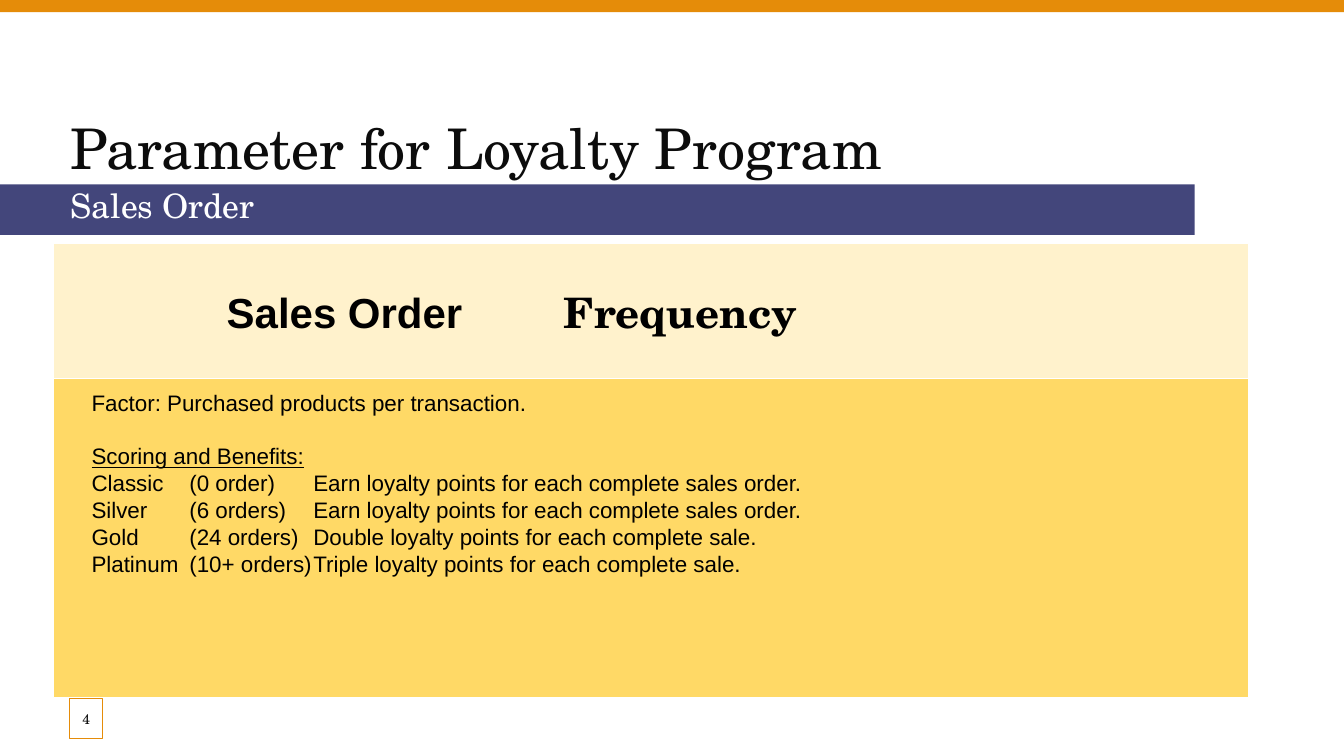
from lxml import etree
from pptx import Presentation
from pptx.dml.color import RGBColor
from pptx.enum.shapes import MSO_SHAPE
from pptx.enum.text import MSO_ANCHOR, PP_ALIGN
from pptx.oxml.ns import qn
from pptx.util import Inches, Pt

COLORS = {"orange": "E58C09", "indigo": "43467B", "cream": "FFF2CC", "gold": "FFD966",
          "white": "FFFFFF", "ink": "0C0C0C", "black": "000000"}
SERIF, SANS = "TeX Gyre Schola", "Arial"

TITLE = "Parameter for Loyalty Program"
SUBTITLE = "Sales Order"
PAGE = "4"
HEADINGS = [("Frequency", SERIF, 5.49, 3.37), ("Sales Order", SANS, 2.15, 2.92)]
FACTOR = "Factor: Purchased products per transaction."
SCORING = "Scoring and Benefits:"
TIERS = [
    ("Classic", "(0 order)", "Earn loyalty points for each complete sales order."),
    ("Silver", "(6 orders)", "Earn loyalty points for each complete sales order."),
    ("Gold", "(24 orders)", "Double loyalty points for each complete sale."),
    ("Platinum", "(10+ orders)", "Triple loyalty points for each complete sale."),
]
TIER_TABS = (0.97, 2.2)
PANEL_X, PANEL_W = 0.53, 11.85


def rgb(name):
    return RGBColor.from_string(COLORS[name])


def add_rect(s, box, fill, line=None):
    sp = s.shapes.add_shape(MSO_SHAPE.RECTANGLE, *map(Inches, box))
    sp.shadow.inherit = False
    sp.fill.solid()
    sp.fill.fore_color.rgb = rgb(fill)
    if line:
        sp.line.color.rgb = rgb(line)
        sp.line.width = Pt(0.75)
    else:
        sp.line.fill.background()
    return sp


def set_frame(sp, left=0.1, top=0.05, right=0.1, anchor=MSO_ANCHOR.TOP):
    tf = sp.text_frame
    tf.word_wrap = True
    tf.vertical_anchor = anchor
    tf.margin_left, tf.margin_right = Inches(left), Inches(right)
    tf.margin_top = tf.margin_bottom = Inches(top)
    return tf


def add_text(p, text, size, font, color, bold=False, underline=False, align=PP_ALIGN.LEFT):
    p.alignment = align
    r = p.add_run()
    r.text = text
    r.font.size, r.font.name = Pt(size), font
    r.font.bold, r.font.underline = bold, underline
    r.font.color.rgb = rgb(color)


def add_tabs(p, stops):
    tabs = etree.SubElement(p._p.get_or_add_pPr(), qn("a:tabLst"))
    for stop in stops:
        etree.SubElement(tabs, qn("a:tab"), pos=str(Inches(stop)), algn="l")


def add_box(s, *box):
    return s.shapes.add_textbox(*map(Inches, box))


def main():
    """Build the loyalty program slide."""
    prs = Presentation()
    prs.slide_width, prs.slide_height = Inches(13.33), Inches(7.5)
    s = prs.slides.add_slide(prs.slide_layouts[6])

    add_rect(s, (0, 0, 13.33, 0.12), "orange")
    tf = set_frame(add_box(s, 0.6, 1.08, 11.82, 0.77))
    add_text(tf.paragraphs[0], TITLE, 40, SERIF, "ink")

    tf = set_frame(add_rect(s, (0, 1.83, 11.85, 0.5), "indigo"), left=0.7)
    tf.paragraphs[0].line_spacing = 0.9
    add_text(tf.paragraphs[0], SUBTITLE, 24, SERIF, "white")

    number = add_rect(s, (0.69, 6.93, 0.33, 0.4), "white", "orange")
    fill = number.fill._xPr.find(qn("a:solidFill"))
    etree.SubElement(fill[0], qn("a:alpha"), val="82000")
    tf = set_frame(number, left=0, right=0, anchor=MSO_ANCHOR.MIDDLE)
    add_text(tf.paragraphs[0], PAGE, 10, SERIF, "ink", align=PP_ALIGN.CENTER)

    add_rect(s, (PANEL_X, 2.42, PANEL_W, 1.35), "cream", "white")
    add_rect(s, (PANEL_X, 3.76, PANEL_W, 3.16), "gold", "white")
    for text, font, x, w in HEADINGS:
        tf = set_frame(add_box(s, x, 2.74, w, 0.71), top=0.1)
        add_text(tf.paragraphs[0], text, 30, font, "black", bold=True)

    tf = set_frame(add_box(s, 0.81, 3.76, 11.3, 2.9), top=0.1)
    add_text(tf.paragraphs[0], FACTOR, 16, SANS, "black")
    p = tf.add_paragraph()
    p.space_before = Pt(19)
    add_text(p, SCORING, 16, SANS, "black", underline=True)
    for tier in TIERS:
        p = tf.add_paragraph()
        add_tabs(p, TIER_TABS)
        add_text(p, "\t".join(tier), 16, SANS, "black")

    prs.save("out.pptx")


if __name__ == "__main__":
    main()
